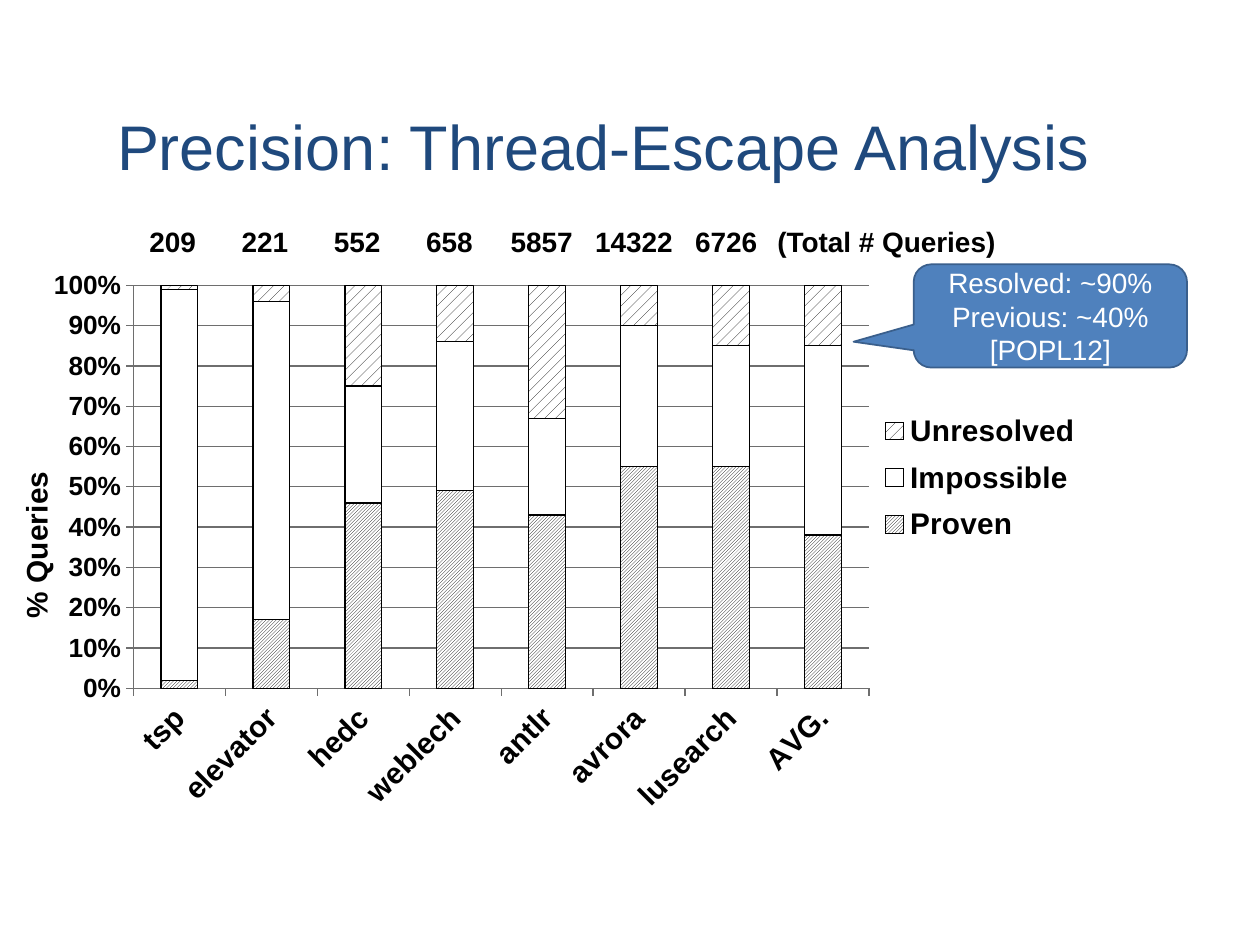
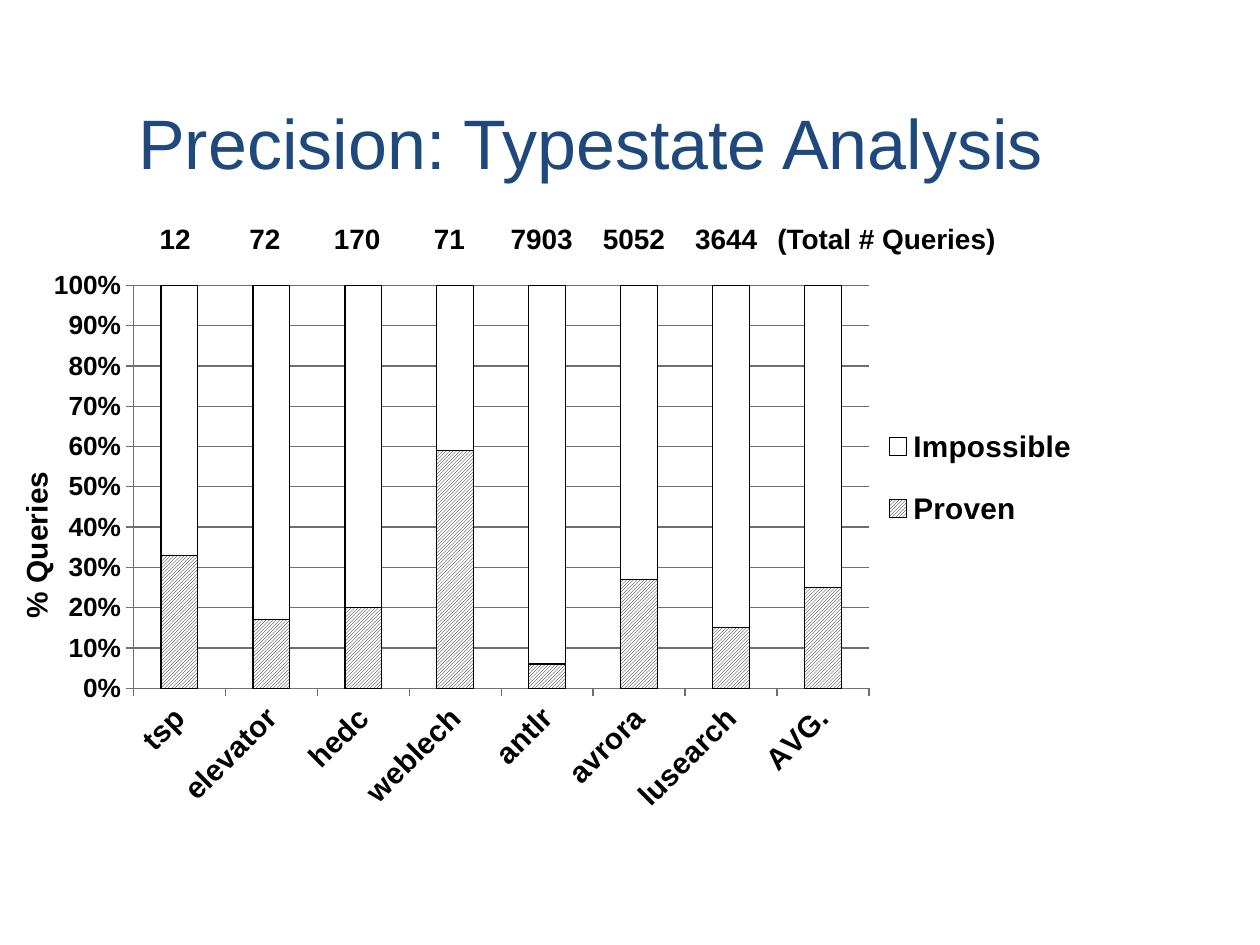
"""Build two slides on the precision of thread-escape and typestate analysis."""
from dataclasses import dataclass
from typing import NamedTuple, Optional

from lxml.etree import SubElement
from pptx import Presentation
from pptx.chart.data import CategoryChartData
from pptx.dml.color import RGBColor
from pptx.enum.chart import XL_CHART_TYPE as ChartType
from pptx.enum.chart import XL_LEGEND_POSITION as LegendPosition
from pptx.enum.chart import XL_TICK_MARK as TickMark
from pptx.enum.dml import MSO_PATTERN as Pattern
from pptx.enum.shapes import MSO_SHAPE as Shape
from pptx.enum.text import MSO_ANCHOR as Anchor
from pptx.enum.text import PP_ALIGN as Align
from pptx.oxml import parse_xml
from pptx.oxml.ns import nsdecls, qn
from pptx.util import Cm, Pt


@dataclass(frozen=True)
class Theme:
    font: str = "Arial"
    title: RGBColor = RGBColor(0x1F, 0x49, 0x7D)
    ink: RGBColor = RGBColor(0, 0, 0)
    paper: RGBColor = RGBColor(0xFF, 0xFF, 0xFF)
    grid: RGBColor = RGBColor(0x6E, 0x6E, 0x6E)
    callout: RGBColor = RGBColor(0x4F, 0x81, 0xBD)
    callout_edge: RGBColor = RGBColor(0x3A, 0x5F, 0x8C)
    body_size: int = 16
    label_size: int = 17
    scale_size: int = 15
    hairline: float = 0.75


class Box(NamedTuple):
    left: float
    top: float
    width: float
    height: float

    def emu(self) -> list:
        return [Cm(length) for length in self]


class Outcome(NamedTuple):
    name: str
    percentages: tuple
    pattern: Optional[Pattern] = None


class PrecisionSlide(NamedTuple):
    title: str
    title_size: int
    title_box: Box
    totals: tuple
    totals_box: Box
    outcomes: tuple
    verdict: tuple = ()


THEME = Theme()
BENCHMARKS = ("tsp", "elevator", "hedc", "weblech", "antlr", "avrora", "lusearch", "AVG.")
CHART_BOX = Box(0, 4.65, 22.43, 11.86)
VERDICT_BOX = Box(18.42, 5.33, 5.51, 2.08)
SIDE_INSET = 0.25
FIRST_TOTAL, TOTAL_PITCH, TOTALS_CAPTION = 3.48, 1.86, 15.67

SLIDES = (
    PrecisionSlide(
        "Precision: Thread-Escape Analysis", 36, Box(2.11, 0.64, 22.02, 3.3),
        (209, 221, 552, 658, 5857, 14322, 6726), Box(2.74, 4.39, 20.12, 0.94),
        (
            Outcome("Proven", (2, 17, 46, 49, 43, 55, 55, 38), Pattern.LIGHT_UPWARD_DIAGONAL),
            Outcome("Impossible", (97, 79, 29, 37, 24, 35, 30, 47)),
            Outcome("Unresolved", (1, 4, 25, 14, 33, 10, 15, 15), Pattern.PERCENT_20),
        ),
        ("Resolved: ~90%", "Previous: ~40% [POPL12]"),
    ),
    PrecisionSlide(
        "Precision: Typestate Analysis", 40, Box(2.54, 0.76, 21.59, 3.18),
        (12, 72, 170, 71, 7903, 5052, 3644), Box(2.97, 4.34, 19.69, 0.94),
        (
            Outcome("Proven", (33, 17, 20, 59, 6, 27, 15, 25), Pattern.LIGHT_UPWARD_DIAGONAL),
            Outcome("Impossible", (67, 83, 80, 41, 94, 73, 85, 75)),
        ),
    ),
)


def style_font(font, size: float, color: RGBColor = THEME.ink, bold: bool = False) -> None:
    font.name, font.size, font.bold = THEME.font, Pt(size), bold
    font.color.rgb = color


def write_text(frame, lines, *, size=THEME.body_size, color=THEME.ink, bold=False,
               align=Align.LEFT, anchor=Anchor.TOP, side=SIDE_INSET, bottom=0.13, tabs=()) -> None:
    frame.word_wrap = True
    frame.vertical_anchor = anchor
    frame.margin_left = frame.margin_right = Cm(side)
    frame.margin_top, frame.margin_bottom = Cm(0.13), Cm(bottom)
    for index, line in enumerate(lines):
        paragraph = frame.add_paragraph() if index else frame.paragraphs[0]
        paragraph.alignment = align
        if tabs:
            stops = SubElement(paragraph._p.get_or_add_pPr(), qn("a:tabLst"))
            for position, kind in tabs:
                SubElement(stops, qn("a:tab"), pos=str(Cm(position)), algn=kind)
        run = paragraph.add_run()
        run.text = line
        style_font(run.font, size, color, bold)


def add_totals(slide, content: PrecisionSlide) -> None:
    origin = content.totals_box.left + SIDE_INSET
    tabs = [(FIRST_TOTAL + i * TOTAL_PITCH - origin, "ctr") for i in range(len(content.totals))]
    tabs.append((TOTALS_CAPTION - origin, "l"))
    cells = [*map(str, content.totals), "(Total # Queries)"]
    row = slide.shapes.add_textbox(*content.totals_box.emu())
    write_text(row.text_frame, ["\t" + "\t".join(cells)], bold=True, tabs=tabs)


def place(part, index: int, inner: bool = False, **fractions: float) -> None:
    """Give a chart part a fixed layout in fractions of the chart's size."""
    for automatic in part.findall(qn("c:layout")):
        part.remove(automatic)
    target = '<c:layoutTarget val="inner"/>' if inner else ""
    modes = "".join(f'<c:{axis}Mode val="edge"/>' for axis in "xy")
    sizes = "".join(f'<c:{key} val="{value}"/>' for key, value in fractions.items())
    part.insert(index, parse_xml(
        f'<c:layout {nsdecls("c")}><c:manualLayout>{target}{modes}{sizes}</c:manualLayout></c:layout>'))


def draw_line(line, color: RGBColor) -> None:
    line.color.rgb = color
    line.width = Pt(THEME.hairline)


def style_axis(axis, size: float) -> None:
    axis.major_tick_mark, axis.minor_tick_mark = TickMark.OUTSIDE, TickMark.NONE
    draw_line(axis.format.line, THEME.grid)
    style_font(axis.tick_labels.font, size, bold=True)


def paint_outcome(series, outcome: Outcome) -> None:
    fill = series.format.fill
    if outcome.pattern is None:
        fill.solid()
        fill.fore_color.rgb = THEME.paper
    else:
        fill.patterned()
        fill.pattern = outcome.pattern
        fill.fore_color.rgb, fill.back_color.rgb = THEME.ink, THEME.paper
    draw_line(series.format.line, THEME.ink)


def add_precision_chart(slide, outcomes: tuple) -> None:
    data = CategoryChartData()
    data.categories = BENCHMARKS
    for outcome in outcomes:
        data.add_series(outcome.name, outcome.percentages)
    chart = slide.shapes.add_chart(
        ChartType.COLUMN_STACKED_100, *CHART_BOX.emu(), data).chart
    chart.has_title = False
    style_font(chart.font, 10)

    bars = chart.plots[0]
    bars.gap_width, bars.overlap, bars.vary_by_categories = 150, 100, False
    for series, outcome in zip(bars.series, outcomes):
        paint_outcome(series, outcome)

    benchmarks, share = chart.category_axis, chart.value_axis
    style_axis(benchmarks, THEME.label_size)
    style_axis(share, THEME.scale_size)
    share.tick_labels.number_format = "0%"
    share.tick_labels.number_format_is_linked = False
    share.has_major_gridlines = True
    draw_line(share.major_gridlines.format.line, THEME.grid)
    caption = share.axis_title.text_frame.paragraphs[0].add_run()
    caption.text = "% Queries"
    style_font(caption.font, THEME.label_size, bold=True)

    chart.has_legend = True
    chart.legend.position = LegendPosition.RIGHT
    chart.legend.include_in_layout = False
    style_font(chart.legend.font, THEME.label_size, bold=True)

    root = chart.element
    for owner, angle in (("c:catAx/c:txPr", -45), ("c:valAx/c:title//c:rich", -90)):
        turned = root.xpath(f".//{owner}/a:bodyPr")[0]
        turned.set("rot", str(angle * 60000))
        turned.set("vert", "horz")
    place(root.xpath(".//c:plotArea")[0], 0, inner=True, x=0.12, y=0.093, w=0.661, h=0.685)
    place(root.xpath(".//c:valAx/c:title")[0], 1, x=0.01, y=0.4)
    place(root.xpath(".//c:legend")[0], 1, x=0.786, y=0.29, w=0.19, h=0.26)


def add_verdict(slide, lines: tuple) -> None:
    callout = slide.shapes.add_shape(Shape.ROUNDED_RECTANGULAR_CALLOUT, *VERDICT_BOX.emu())
    for index, value in enumerate((-0.72, 0.25, 0.17)):
        callout.adjustments[index] = value
    callout.shadow.inherit = False
    callout.fill.solid()
    callout.fill.fore_color.rgb = THEME.callout
    callout.line.color.rgb = THEME.callout_edge
    callout.line.width = Pt(1)
    write_text(callout.text_frame, lines, color=THEME.paper, align=Align.CENTER,
               anchor=Anchor.MIDDLE, side=0)


def build_slide(deck, content: PrecisionSlide) -> None:
    slide = deck.slides.add_slide(deck.slide_layouts[6])
    title = slide.shapes.add_textbox(*content.title_box.emu())
    write_text(title.text_frame, [content.title], size=content.title_size,
               color=THEME.title, anchor=Anchor.BOTTOM, bottom=0.25)
    add_precision_chart(slide, content.outcomes)
    add_totals(slide, content)
    if content.verdict:
        add_verdict(slide, content.verdict)


def main() -> None:
    deck = Presentation()
    deck.slide_width, deck.slide_height = Cm(25.4), Cm(19.05)
    for content in SLIDES:
        build_slide(deck, content)
    deck.save("out.pptx")


if __name__ == "__main__":
    main()
